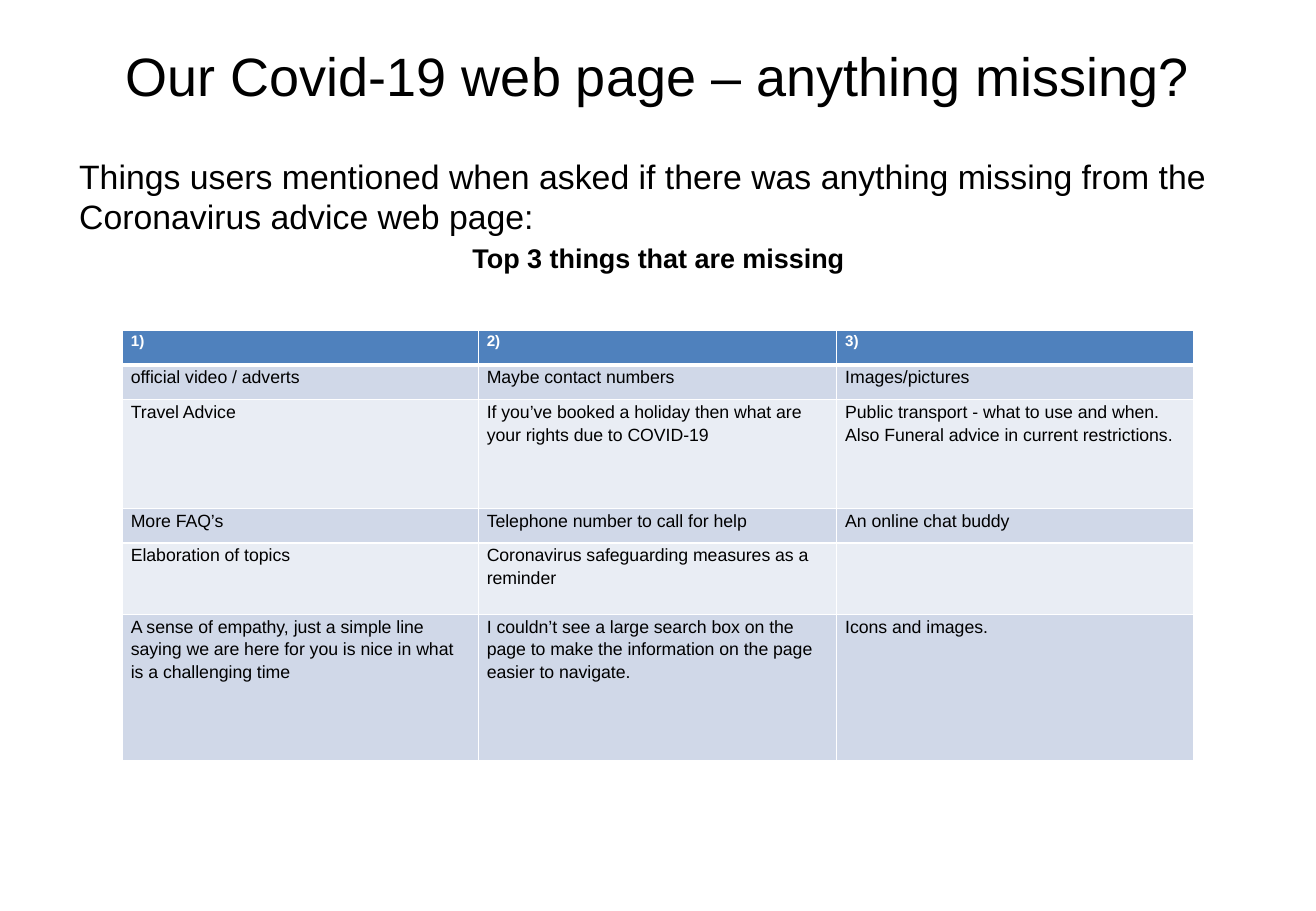
from pptx import Presentation
from pptx.dml.color import RGBColor
from pptx.enum.text import MSO_ANCHOR, MSO_AUTO_SIZE, PP_ALIGN
from pptx.oxml.ns import qn
from pptx.util import Inches, Pt
from lxml.etree import SubElement

WIDTH, HEIGHT = Inches(10.83), Inches(7.5)
FONT = "Arial"
COLORS = {"text": "000000", "header_text": "FFFFFF", "border": "FFFFFF",
          "header": "4F81BD", "odd": "D0D8E8", "even": "E9EDF4"}

# Table sizes in percent of the slide's width and height
COLUMNS = [27.05, 27.24, 27.15]
ROWS = [3.8, 3.8, 11.95, 3.8, 7.85, 16]
MISSING = [
    ["1)", "2)", "3)"],
    ["official video / adverts", "Maybe contact numbers", "Images/pictures"],
    ["Travel Advice",
     "If you’ve booked a holiday then what are your rights due to COVID-19",
     "Public transport - what to use and when. Also Funeral advice in current restrictions."],
    ["More FAQ’s", "Telephone number to call for help", "An online chat buddy"],
    ["Elaboration of topics", "Coronavirus safeguarding measures as a reminder", ""],
    ["A sense of empathy, just a simple line saying we are here for you is nice in what "
     "is a challenging time",
     "I couldn’t see a large search box on the page to make the information on the page "
     "easier to navigate.",
     "Icons and images."],
]


def across(percent):
    return round(WIDTH * percent / 100)


def down(percent):
    return round(HEIGHT * percent / 100)


def color(name):
    return RGBColor.from_string(COLORS[name])


def add_run(p, text, size, name="text", bold=False):
    r = p.add_run()
    r.text = text
    r.font.name = FONT
    r.font.size = Pt(size)
    r.font.bold = bold
    r.font.color.rgb = color(name)


def place(sp, left, top, width, height):
    """Move a placeholder and return its text frame, set from the top."""
    sp.left, sp.top = across(left), down(top)
    sp.width, sp.height = across(width), down(height)
    tf = sp.text_frame
    tf.word_wrap = True
    tf.auto_size = MSO_AUTO_SIZE.NONE
    tf.vertical_anchor = MSO_ANCHOR.TOP
    return tf


def format_plain(p, size, align):
    """Body paragraph without a bullet, a fifth of its size above it."""
    p.alignment = align
    p.space_before = Pt(size * 0.2)
    pPr = p._p.get_or_add_pPr()
    pPr.set("marL", str(Inches(0.01)))
    pPr.set("indent", "0")
    SubElement(pPr, qn("a:buNone"))


def set_borders(cell, top, bottom):
    tcPr = cell._tc.get_or_add_tcPr()
    for side, width in (("L", 1), ("R", 1), ("T", top), ("B", bottom)):
        ln = SubElement(tcPr, qn(f"a:ln{side}"), w=str(Pt(width)))
        SubElement(SubElement(ln, qn("a:solidFill")), qn("a:srgbClr"), val=COLORS["border"])


def fill_cell(cell, text, row):
    header = row == 0
    cell.margin_left = cell.margin_right = Inches(0.07)
    cell.margin_top = cell.margin_bottom = 0
    cell.vertical_anchor = MSO_ANCHOR.TOP
    set_borders(cell, top=3 if row == 1 else 1, bottom=3 if header else 1)
    cell.fill.solid()
    cell.fill.fore_color.rgb = color("header" if header else "odd" if row % 2 else "even")
    if text:
        p = cell.text_frame.paragraphs[0]
        p.line_spacing = 1.15
        if header:
            add_run(p, text, 9, "header_text", bold=True)
        else:
            add_run(p, text, 10.5)


def add_missing_table(s):
    table = s.shapes.add_table(len(ROWS), len(COLUMNS), across(9.3), down(36.27),
                               across(sum(COLUMNS)), down(sum(ROWS))).table
    for column, width in zip(table.columns, COLUMNS):
        column.width = across(width)
    for i, (row, height) in enumerate(zip(table.rows, ROWS)):
        row.height = down(height)
        for cell, text in zip(row.cells, MISSING[i]):
            fill_cell(cell, text, i)


def main():
    prs = Presentation()
    prs.slide_width, prs.slide_height = WIDTH, HEIGHT
    s = prs.slides.add_slide(prs.slide_layouts[1])

    # Title
    p = place(s.shapes.title, 5, 4, 90, 16.67).paragraphs[0]
    p.alignment = PP_ALIGN.CENTER
    add_run(p, "Our Covid-19 web page – anything missing?", 32)

    # Introduction and table heading
    tf = place(s.placeholders[1], 5, 16.4, 90, 79.6)
    p = tf.paragraphs[0]
    format_plain(p, 20, PP_ALIGN.LEFT)
    add_run(p, "Things users mentioned when asked if there was anything missing from the "
               "Coronavirus advice web page:", 20)
    p = tf.add_paragraph()
    format_plain(p, 16, PP_ALIGN.CENTER)
    add_run(p, "Top 3 things that are missing", 16, bold=True)

    # Table of the three answers of each user
    add_missing_table(s)

    prs.save("out.pptx")


main()
